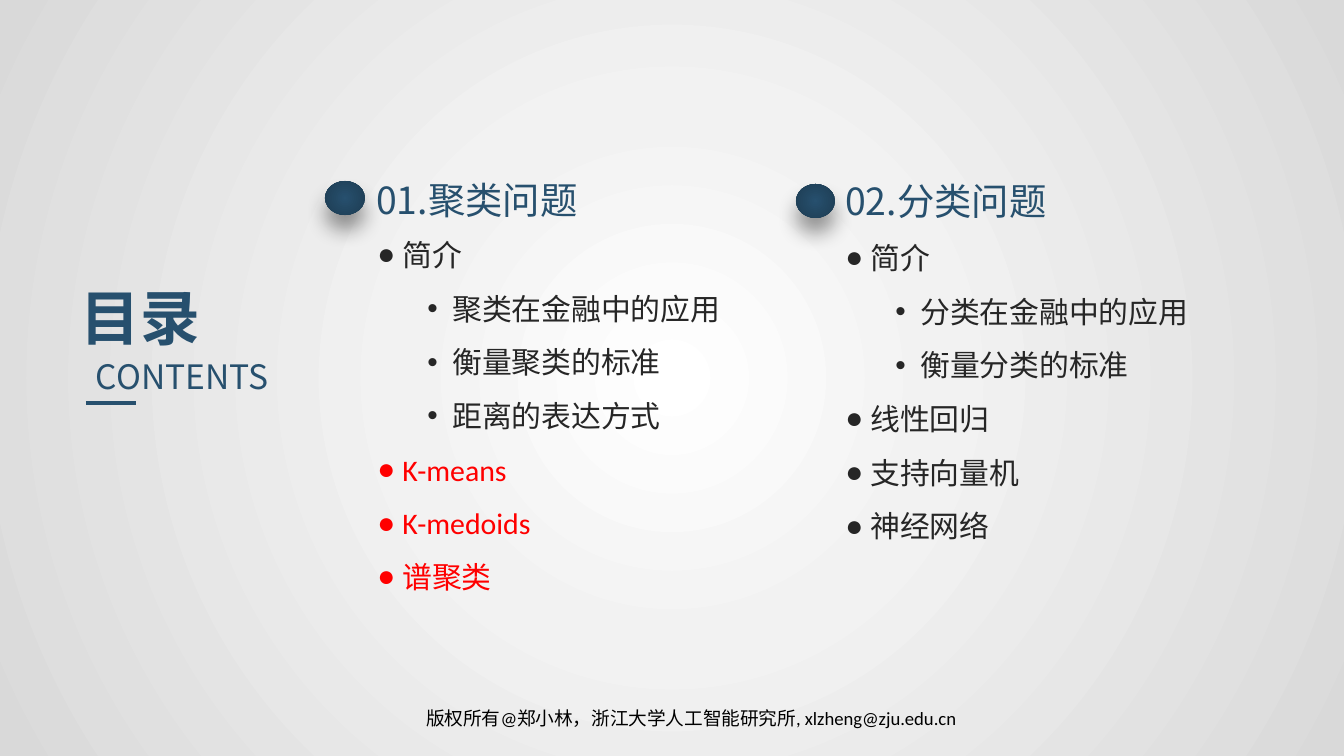
"""Build the contents slide with two topic lists on a radial grey background."""
from lxml.etree import SubElement
from pptx import Presentation
from pptx.dml.color import RGBColor
from pptx.enum.shapes import MSO_CONNECTOR, MSO_SHAPE
from pptx.enum.text import MSO_ANCHOR, MSO_AUTO_SIZE, PP_ALIGN
from pptx.oxml import parse_xml
from pptx.oxml.ns import nsdecls, qn
from pptx.util import Pt

PX = 914400 / 134.4
NAVY = RGBColor(0x27, 0x50, 0x6E)
DARK_NAVY = RGBColor(0x1D, 0x3C, 0x52)
INK = RGBColor(0x26, 0x26, 0x26)
RED = RGBColor(0xFF, 0x00, 0x00)
BLACK = RGBColor(0x00, 0x00, 0x00)
WHITE = RGBColor(0xFF, 0xFF, 0xFF)
PALE = RGBColor(0xF2, 0xF2, 0xF2)
GREY = RGBColor(0xD9, 0xD9, 0xD9)
CJK = "Noto Sans CJK SC"
LATIN = "Calibri"

HEADING = {"name": CJK, "size": Pt(20)}
TITLE = {"name": CJK, "size": Pt(32), "bold": True}
SUBTITLE = {"name": CJK, "size": Pt(18)}
ITEM = {"name": LATIN, "size": Pt(16)}
FOOTER = {"name": LATIN, "size": Pt(10)}


def radial_fill(properties, stops):
    """Replace the solid fill of the properties by a centred radial gradient."""
    stop_xml = "".join(
        f'<a:gs pos="{position * 1000}"><a:srgbClr val="{color}"/></a:gs>'
        for position, color in stops
    )
    gradient = parse_xml(
        f'<a:gradFill {nsdecls("a")} rotWithShape="1"><a:gsLst>{stop_xml}</a:gsLst>'
        '<a:path path="circle"><a:fillToRect l="50000" t="50000" r="50000" b="50000"/>'
        "</a:path></a:gradFill>"
    )
    properties.replace(properties.find(qn("a:solidFill")), gradient)


def write(para, text, formats, color):
    """Add one formatted run to the paragraph."""
    span = para.add_run()
    span.text = text
    for name, value in formats.items():
        setattr(span.font, name, value)
    span.font.color.rgb = color
    SubElement(span._r.get_or_add_rPr(), qn("a:ea"), typeface=CJK)


deck = Presentation()
deck.slide_width, deck.slide_height = int(1344 * PX), int(756 * PX)
page = deck.slides.add_slide(deck.slide_layouts[3])
page.background.fill.solid()
radial_fill(page.element.find(".//" + qn("p:bgPr")), [(0, WHITE), (35, PALE), (100, GREY)])

topics = [
    {
        "dot": (325, 181, 40, 34),
        "heading": ("01.聚类问题", (363, 171, 271, 59)),
        "list": (364, 212, 433, 394),
        "items": [
            (0, "简介", INK),
            (1, "聚类在金融中的应用", INK),
            (1, "衡量聚类的标准", INK),
            (1, "距离的表达方式", INK),
            (0, "K-means", RED),
            (0, "K-medoids", RED),
            (0, "谱聚类", RED),
        ],
    },
    {
        "dot": (796, 184, 39, 34),
        "heading": ("02.分类问题", (832, 172, 261, 59)),
        "list": (832, 215, 414, 339),
        "items": [
            (0, "简介", INK),
            (1, "分类在金融中的应用", INK),
            (1, "衡量分类的标准", INK),
            (0, "线性回归", INK),
            (0, "支持向量机", INK),
            (0, "神经网络", INK),
        ],
    },
]

for number, topic in enumerate(topics, start=1):
    dot = page.shapes.add_shape(MSO_SHAPE.OVAL, *[int(v * PX) for v in topic["dot"]])
    dot.fill.solid()
    radial_fill(dot._element.spPr, [(0, NAVY), (100, DARK_NAVY)])
    dot.line.fill.background()
    dot.shadow.inherit = False
    dot._element.spPr.find(qn("a:effectLst")).append(parse_xml(
        f'<a:outerShdw {nsdecls("a")} blurRad="{Pt(11)}" dist="{Pt(8)}" dir="5400000">'
        '<a:srgbClr val="000000"><a:alpha val="40000"/></a:srgbClr></a:outerShdw>'
    ))

    body = page.placeholders[number]
    body.left, body.top, body.width, body.height = [int(v * PX) for v in topic["list"]]
    frame = body.text_frame
    frame.word_wrap = True
    frame.auto_size = MSO_AUTO_SIZE.SHAPE_TO_FIT_TEXT
    for index, (level, text, color) in enumerate(topic["items"]):
        para = frame.add_paragraph() if index else frame.paragraphs[0]
        para.level = level
        properties = para._p.get_or_add_pPr()
        properties.set("marL", str(int((25, 75)[level] * PX)))
        properties.set("indent", str(int(-25 * PX)))
        SubElement(properties, qn("a:buChar"), char="●•"[level])
        para.line_spacing = 1.5
        para.space_before = Pt(0)
        write(para, text, ITEM, color)

title = page.shapes.title
title.left, title.top, title.width, title.height = [int(v * PX) for v in (67, 274, 149, 86)]
title.text_frame.word_wrap = False
title.text_frame.auto_size = MSO_AUTO_SIZE.SHAPE_TO_FIT_TEXT
title.text_frame.vertical_anchor = MSO_ANCHOR.TOP
title.text_frame.paragraphs[0].alignment = PP_ALIGN.LEFT
write(title.text_frame.paragraphs[0], "目录", TITLE, NAVY)

labels = [(*topic["heading"], HEADING, NAVY, PP_ALIGN.LEFT, False) for topic in topics]
labels += [
    ("CONTENTS", (77, 349, 210, 54), SUBTITLE, NAVY, PP_ALIGN.CENTER, False),
    ("版权所有@郑小林，浙江大学人工智能研究所, xlzheng@zju.edu.cn",
     (413, 700, 694, 40), FOOTER, BLACK, PP_ALIGN.LEFT, True),
]
for text, place, formats, color, alignment, wrap in labels:
    box = page.shapes.add_textbox(*[int(v * PX) for v in place])
    box.text_frame.word_wrap = wrap
    if not wrap:
        box.text_frame.auto_size = MSO_AUTO_SIZE.SHAPE_TO_FIT_TEXT
    para = box.text_frame.paragraphs[0]
    para.alignment = alignment
    write(para, text, formats, color)

underline = page.shapes.add_connector(
    MSO_CONNECTOR.STRAIGHT, *[int(v * PX) for v in (86, 403, 136, 403)]
)
underline.line.color.rgb = NAVY
underline.line.width = Pt(2.25)
SubElement(underline._element.spPr, qn("a:effectLst"))

deck.save("out.pptx")
